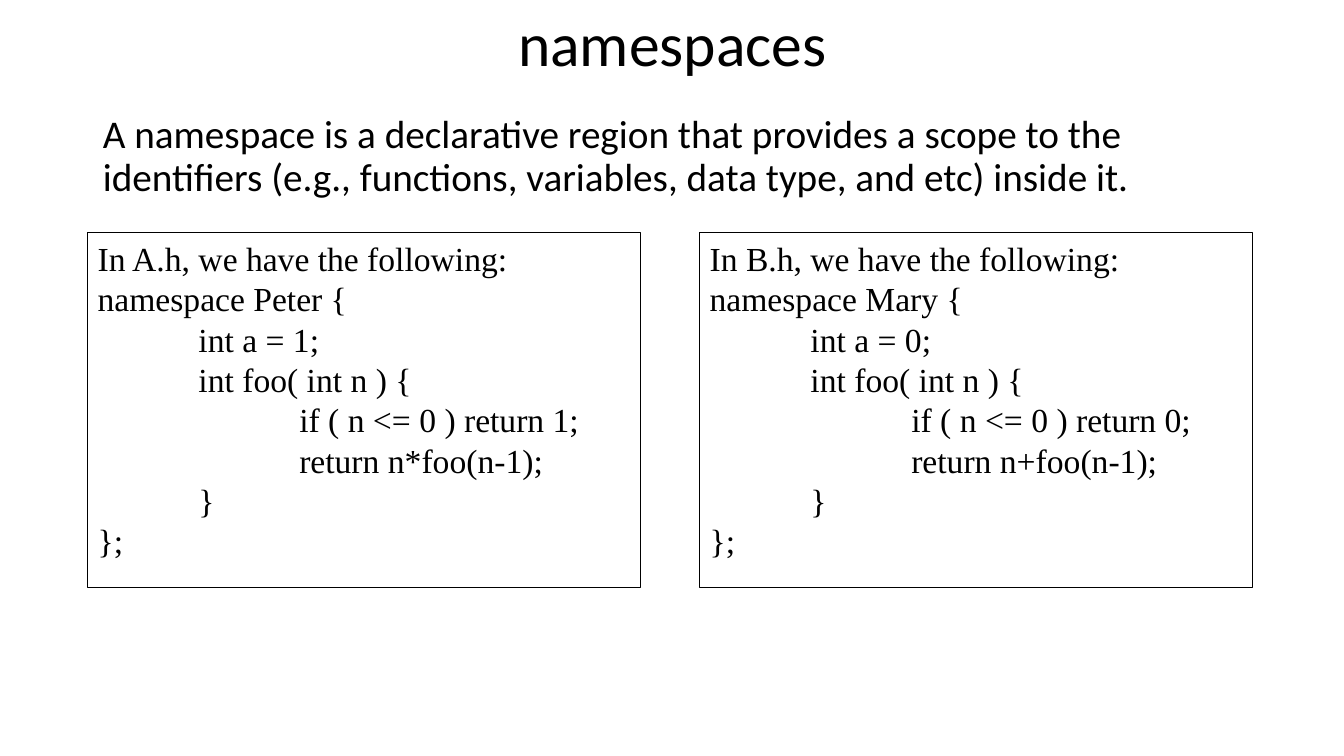
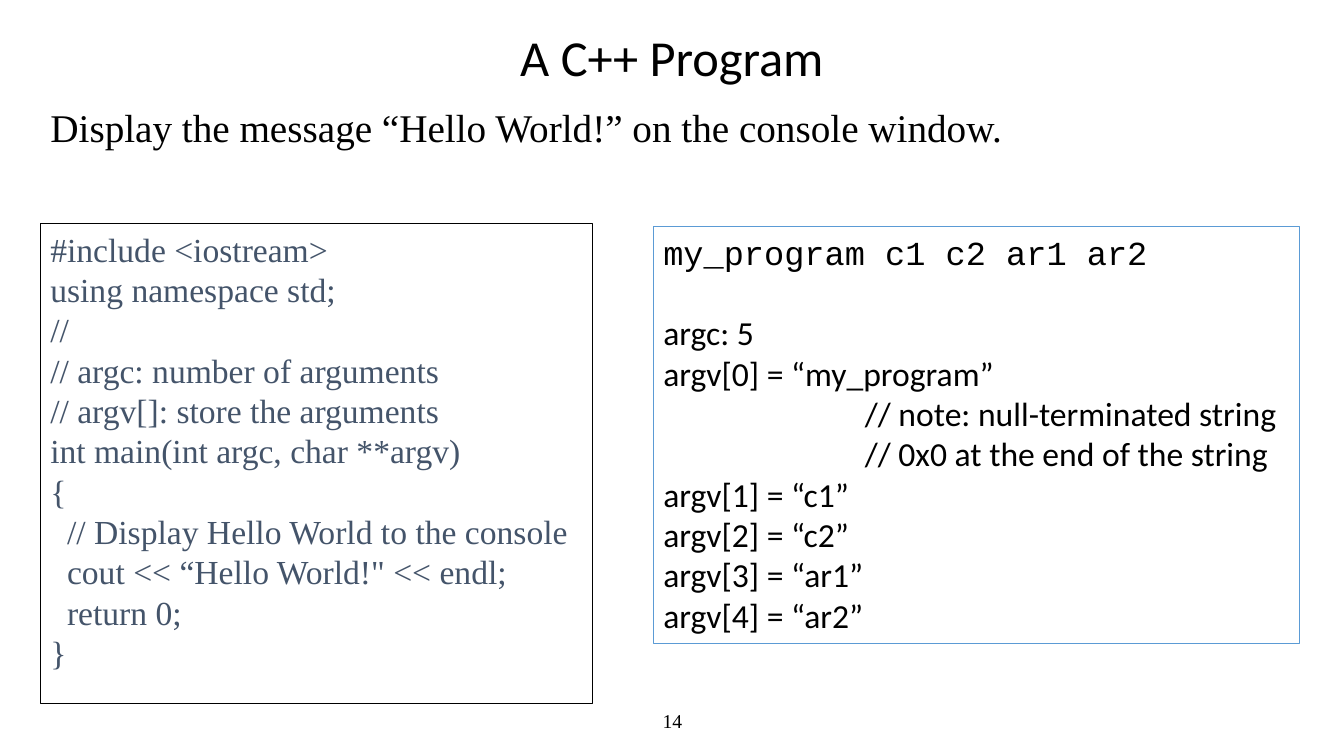
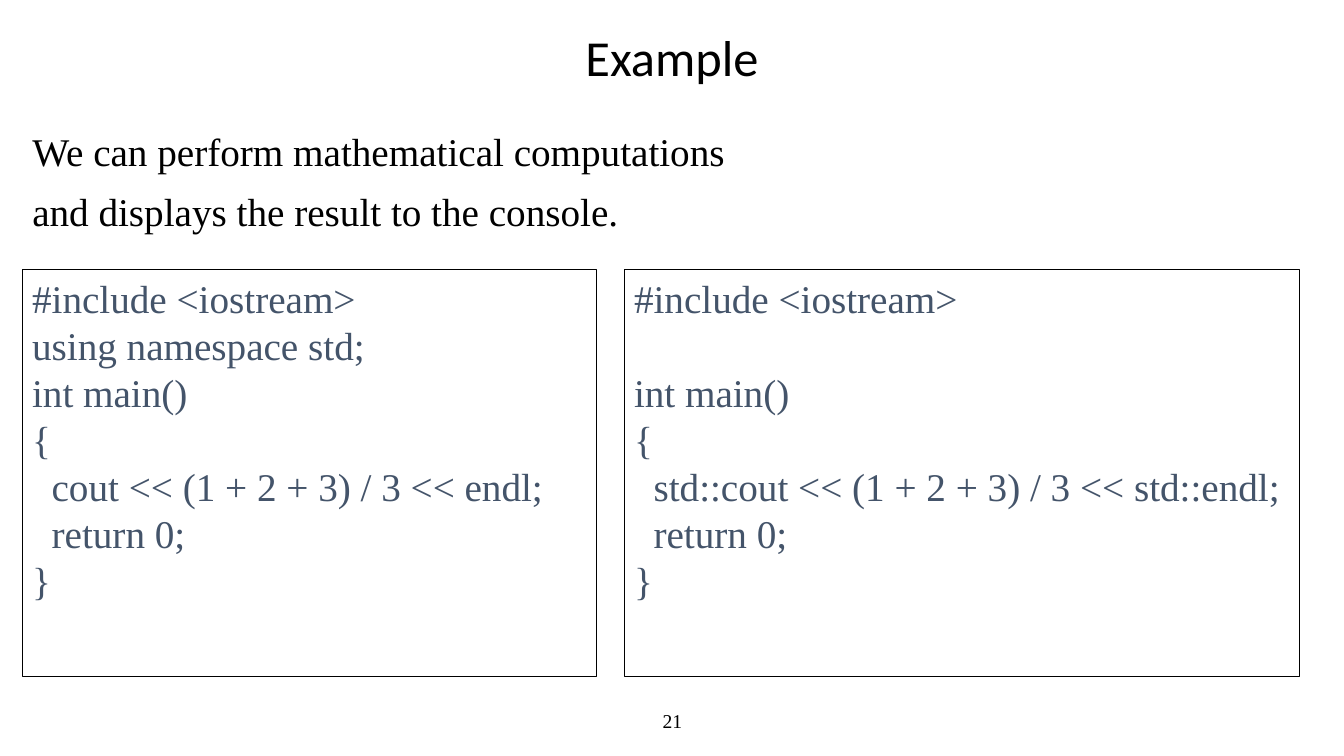
from dataclasses import dataclass
from typing import NamedTuple, Optional

from lxml import etree
from pptx import Presentation
from pptx.dml.color import RGBColor
from pptx.enum import shapes, text
from pptx.oxml import ns
from pptx.util import Inches, Pt


@dataclass(frozen=True)
class Theme:
    black: RGBColor = RGBColor(0x00, 0x00, 0x00)
    slate: RGBColor = RGBColor(0x44, 0x54, 0x6A)
    blue: RGBColor = RGBColor(0x5B, 0x9B, 0xD5)
    sans: str = "Calibri"
    serif: str = "Times New Roman"
    mono: str = "Courier New"
    huge: int = 44
    title: int = 36
    large: int = 28
    code: int = 24
    small: int = 14
    border: float = 0.75
    blank_line: float = 1.2


THEME = Theme()


class Area(NamedTuple):
    left: float
    top: float
    width: float
    height: float


@dataclass(frozen=True)
class Heading:
    text: str
    area: Area = Area(0, 0.25, 13.33, 0.69)
    size: int = THEME.title


@dataclass(frozen=True)
class Lead:
    lines: tuple[str, ...]
    area: Area
    font: str = THEME.serif
    line_spacing: float = 1.1


@dataclass(frozen=True)
class Listing:
    code: str
    area: Area
    size: int = THEME.code
    color: RGBColor = THEME.black
    border: RGBColor = THEME.black
    font: str = THEME.serif
    first_font: Optional[str] = None


@dataclass(frozen=True)
class Page:
    heading: Heading
    lead: Lead
    listings: tuple[Listing, ...]
    number: Optional[int] = None


def namespace_code(file: str, name: str, start: int, operator: str) -> str:
    return f"""In {file}, we have the following:
namespace {name} {{
\tint a = {start};
\tint foo( int n ) {{
\t\tif ( n <= 0 ) return {start};
\t\treturn n{operator}foo(n-1);
\t}}
}};"""


def average_code(using: str, prefix: str) -> str:
    return f"""#include <iostream>
{using}
int main()
{{
  {prefix}cout << (1 + 2 + 3) / 3 << {prefix}endl;
  return 0;
}}"""


HELLO_CODE = """#include <iostream>
using namespace std;
//
// argc: number of arguments
// argv[]: store the arguments
int main(int argc, char **argv)
{
  // Display Hello World to the console
  cout << “Hello World!" << endl;
  return 0;
}"""

ARGUMENTS = """my_program c1 c2 ar1 ar2

argc: 5
argv[0] = “my_program”
\t\t// note: null-terminated string
\t\t// 0x0 at the end of the string
argv[1] = “c1”
argv[2] = “c2”
argv[3] = “ar1”
argv[4] = “ar2”"""

PAGES = (
    Page(
        Heading("namespaces", Area(0.92, 0, 11.5, 0.93), THEME.huge),
        Lead(
            ("A namespace is a declarative region that provides a scope to the "
             "identifiers (e.g., functions, variables, data type, and etc) inside it.",),
            Area(0.92, 1.09, 11.5, 0.97), THEME.sans, 0.9,
        ),
        (
            Listing(namespace_code("A.h", "Peter", 1, "*"), Area(0.87, 2.31, 5.48, 3.52)),
            Listing(namespace_code("B.h", "Mary", 0, "+"), Area(6.94, 2.31, 5.48, 3.52)),
        ),
    ),
    Page(
        Heading("A C++ Program"),
        Lead(("Display the message “Hello World!” on the console window.",),
             Area(0.4, 0.93, 12.61, 1.08)),
        (
            Listing(HELLO_CODE, Area(0.4, 2.22, 5.48, 4.76), color=THEME.slate),
            Listing(ARGUMENTS, Area(6.48, 2.25, 6.41, 4.13), border=THEME.blue,
                    font=THEME.sans, first_font=THEME.mono),
        ),
        14,
    ),
    Page(
        Heading("Example"),
        Lead(("We can perform mathematical computations",
              "and displays the result to the console."),
             Area(0.22, 1.17, 12.67, 1.31)),
        (
            Listing(average_code("using namespace std;", ""),
                    Area(0.22, 2.67, 5.7, 4.04), THEME.large, THEME.slate),
            Listing(average_code("", "std::"),
                    Area(6.19, 2.67, 6.7, 4.04), THEME.large, THEME.slate),
        ),
        21,
    ),
)


def place(box, area: Area) -> None:
    box.left, box.top, box.width, box.height = map(Inches, area)


def prepare_frame(box, anchor):
    """Turn on wrapping, turn off resizing and return the text frame."""
    frame = box.text_frame
    frame.word_wrap = True
    frame.auto_size = text.MSO_AUTO_SIZE.NONE
    frame.vertical_anchor = anchor
    return frame


def style(para, size: int, font: str, color: RGBColor = THEME.black,
          align=text.PP_ALIGN.LEFT) -> None:
    para.alignment = align
    para.font.size = Pt(size)
    para.font.name = font
    para.font.color.rgb = color


def remove_bullet(para) -> None:
    properties = para._p.get_or_add_pPr()
    properties.set("marL", "0")
    properties.set("indent", "0")
    etree.SubElement(properties, ns.qn("a:buNone"))


def add_tab_stops(para, count: int) -> None:
    """Add left tab stops one inch apart."""
    stops = etree.SubElement(para._p.get_or_add_pPr(), ns.qn("a:tabLst"))
    for inch in range(1, count + 1):
        etree.SubElement(stops, ns.qn("a:tab"), pos=str(Inches(inch)), algn="l")


def draw_heading(slide, heading: Heading) -> None:
    box = slide.shapes.title
    place(box, heading.area)
    para = prepare_frame(box, text.MSO_ANCHOR.MIDDLE).paragraphs[0]
    para.text = heading.text
    para.line_spacing = 0.9
    style(para, heading.size, THEME.sans, align=text.PP_ALIGN.CENTER)


def draw_lead(slide, lead: Lead) -> None:
    box = slide.placeholders[1]
    place(box, lead.area)
    frame = prepare_frame(box, text.MSO_ANCHOR.TOP)
    frame.text = "\n".join(lead.lines)
    for index, para in enumerate(frame.paragraphs):
        remove_bullet(para)
        para.line_spacing = lead.line_spacing
        para.space_before = Pt(5.6 if index else 0)
        style(para, THEME.large, lead.font)


def draw_listing(slide, listing: Listing) -> None:
    """Draw a bordered listing; an empty line becomes space before the next one."""
    box = slide.shapes.add_shape(shapes.MSO_SHAPE.RECTANGLE, *map(Inches, listing.area))
    box.shadow.inherit = False
    box.fill.background()
    box.line.color.rgb = listing.border
    box.line.width = Pt(THEME.border)
    frame = prepare_frame(box, text.MSO_ANCHOR.TOP)
    lines = listing.code.split("\n")
    frame.text = "\n".join(filter(None, lines))
    paragraphs = iter(frame.paragraphs)
    gap = 0.0
    for index, line in enumerate(lines):
        if not line:
            gap += listing.size * THEME.blank_line
            continue
        para = next(paragraphs)
        if "\t" in line:
            add_tab_stops(para, line.count("\t"))
        if gap:
            para.space_before = Pt(gap)
            gap = 0.0
        font = listing.first_font if index == 0 and listing.first_font else listing.font
        style(para, listing.size, font, listing.color)


def draw_number(slide, number: int) -> None:
    box = slide.shapes.add_textbox(*map(Inches, Area(4.42, 6.95, 4.5, 0.4)))
    para = prepare_frame(box, text.MSO_ANCHOR.MIDDLE).paragraphs[0]
    para.text = str(number)
    style(para, THEME.small, THEME.serif, align=text.PP_ALIGN.CENTER)


def draw_page(deck, page: Page) -> None:
    slide = deck.slides.add_slide(deck.slide_layouts.get_by_name("Title and Content"))
    draw_heading(slide, page.heading)
    draw_lead(slide, page.lead)
    for listing in page.listings:
        draw_listing(slide, listing)
    if page.number is not None:
        draw_number(slide, page.number)


def main() -> None:
    deck = Presentation()
    deck.slide_width, deck.slide_height = Inches(13.33), Inches(7.5)
    for page in PAGES:
        draw_page(deck, page)
    deck.save("out.pptx")


if __name__ == "__main__":
    main()
